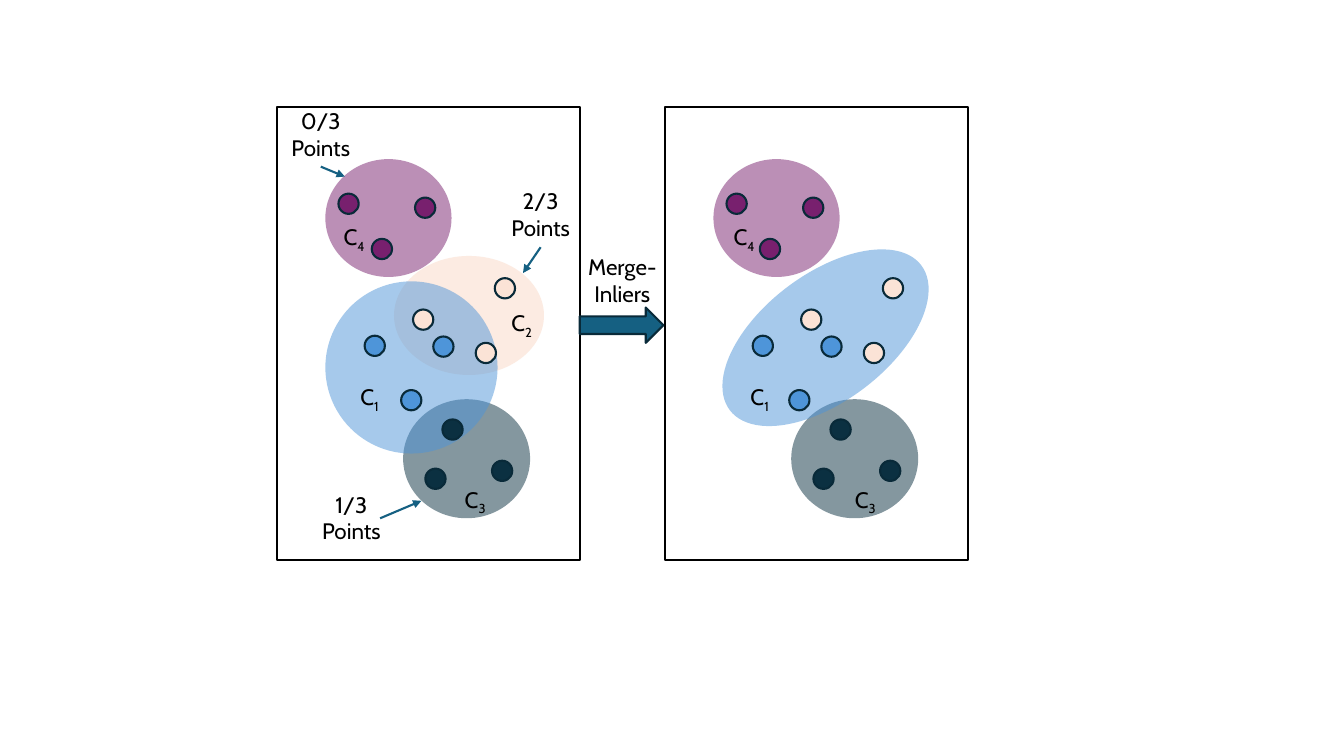
from lxml.etree import SubElement
from pptx import Presentation
from pptx.dml.color import RGBColor
from pptx.enum.shapes import MSO_CONNECTOR, MSO_SHAPE
from pptx.enum.text import MSO_AUTO_SIZE, PP_ALIGN
from pptx.oxml.ns import qn
from pptx.util import Cm, Pt

PLUM, BLUE, PEACH, NAVY = "78206E", "4E95D9", "FBE3D6", "0B3041"
TEAL, EDGE, BLACK = "156082", "092A39", "000000"
DOT, SHIFT, NUDGE = 0.51, 9.78, 9.83


def color(value):
    return RGBColor.from_string(value)


class Board:
    font = "Cabin"
    size = Pt(16)
    width = Pt(1.5)

    def __init__(self, slide):
        self.shapes = slide.shapes

    def shape(self, kind, box, fill=None, line=None, alpha=None, turn=0):
        item = self.shapes.add_shape(kind, *map(Cm, box))
        item.shadow.inherit = False
        item.rotation = turn
        if fill:
            item.fill.solid()
            item.fill.fore_color.rgb = color(fill)
        else:
            item.fill.background()
        if alpha:
            tint = item.fill._xPr.find(qn("a:solidFill"))[0]
            SubElement(tint, qn("a:alpha"), val=str(alpha * 1000))
        if line:
            item.line.color.rgb = color(line)
            item.line.width = self.width
        else:
            item.line.fill.background()

    def oval(self, box, fill, alpha=50, turn=0):
        self.shape(MSO_SHAPE.OVAL, box, fill, alpha=alpha, turn=turn)

    def dot(self, left, top, fill):
        self.shape(MSO_SHAPE.OVAL, (left, top, DOT, DOT), fill, EDGE)

    def text(self, words, box, sub=None):
        item = self.shapes.add_textbox(*map(Cm, box))
        frame = item.text_frame
        frame.word_wrap = True
        frame.auto_size = MSO_AUTO_SIZE.SHAPE_TO_FIT_TEXT
        para = frame.paragraphs[0]
        para.alignment = PP_ALIGN.CENTER
        para.font.name = self.font
        para.font.size = self.size
        para.font.color.rgb = color(BLACK)
        para.add_run().text = words
        if sub:
            run = para.add_run()
            run.text = sub
            run._r.get_or_add_rPr().set("baseline", "-25000")
        return item

    def label(self, sub, left, top):
        self.text("C", (left, top, 2.11, 0.94), sub)

    def arrow(self, start, end, note=None):
        item = self.shapes.add_connector(MSO_CONNECTOR.STRAIGHT, *map(Cm, start + end))
        if note:
            item.begin_connect(note, 2)
        item.line.color.rgb = color(TEAL)
        item.line.width = self.width
        SubElement(item.line._get_or_add_ln(), qn("a:tailEnd"), type="triangle")
        SubElement(item._element.spPr, qn("a:effectLst"))


def main():
    deck = Presentation()
    deck.slide_width, deck.slide_height = Cm(33.87), Cm(19.05)
    board = Board(deck.slides.add_slide(deck.slide_layouts[6]))

    dots = {
        BLUE: [(9.19, 8.46), (10.92, 8.48), (10.11, 9.83)],
        PLUM: [(8.53, 4.88), (9.37, 6.02), (10.46, 4.98)],
        PEACH: [(10.41, 7.8), (11.99, 8.64), (12.47, 7.01)],
        NAVY: [(11.15, 10.57), (12.4, 11.61), (10.72, 11.81)],
    }
    labels = [("1", 8.26, 9.53), ("3", 10.92, 12.12), ("4", 7.87, 5.51)]

    for step, nudge in (0, 0), (SHIFT, NUDGE):
        board.oval((10.16 + step, 10.06, 3.2, 3), NAVY)
        if step:
            board.oval((17.78, 6.91, 6.05, 3.2), BLUE, turn=322.9)
        else:
            board.oval((9.93, 6.45, 3.78, 3), PEACH, alpha=70)
            board.oval((8.2, 7.09, 4.34, 4.34), BLUE)
        board.oval((8.2 + step, 4.01, 3.18, 2.97), PLUM)
        board.shape(MSO_SHAPE.RECTANGLE, (6.99 + step, 2.69, 7.62, 11.43), line=BLACK)
        for fill, spots in dots.items():
            for left, top in spots:
                board.dot(left + step, top, fill)
        for sub, left, top in labels:
            board.label(sub, left + nudge, top)
    board.label("2", 12.09, 7.67)

    board.shape(MSO_SHAPE.RIGHT_ARROW, (14.61, 7.75, 2.11, 0.89), TEAL, EDGE)
    board.text("Merge-Inliers", (14.4, 6.25, 2.57, 1.63))

    notes = [
        ("0/3 Points", 6.88, 2.57, (8.08, 4.19), (8.69, 4.45), True),
        ("2/3 Points", 12.42, 4.6, (13.64, 6.22), (13.18, 6.88), True),
        ("1/3 Points", 7.65, 12.24, (9.58, 13.06), (10.62, 12.62), False),
    ]
    for words, left, top, start, end, join in notes:
        note = board.text(words, (left, top, 2.41, 1.63))
        board.arrow(start, end, note if join else None)

    deck.save("out.pptx")


if __name__ == "__main__":
    main()
